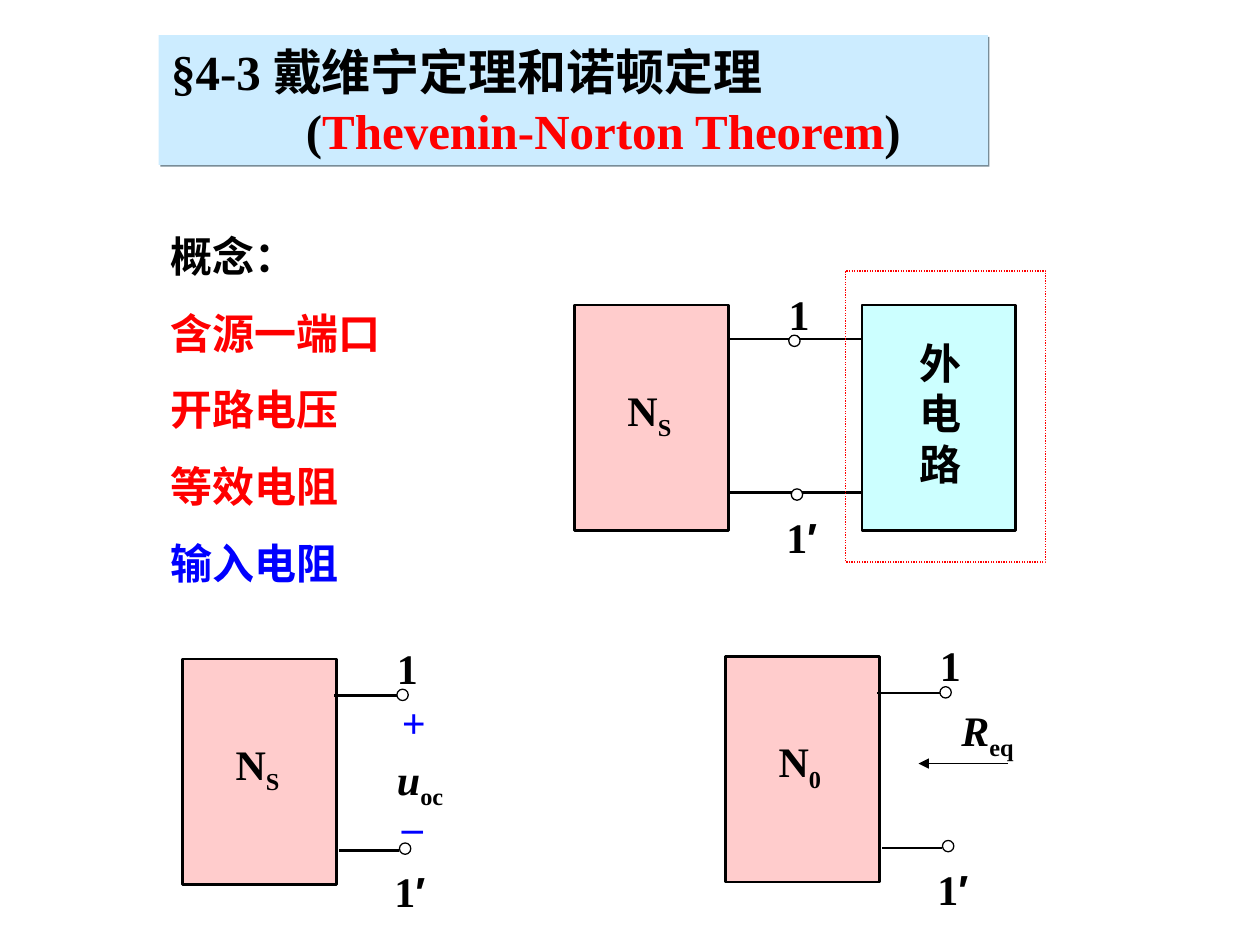
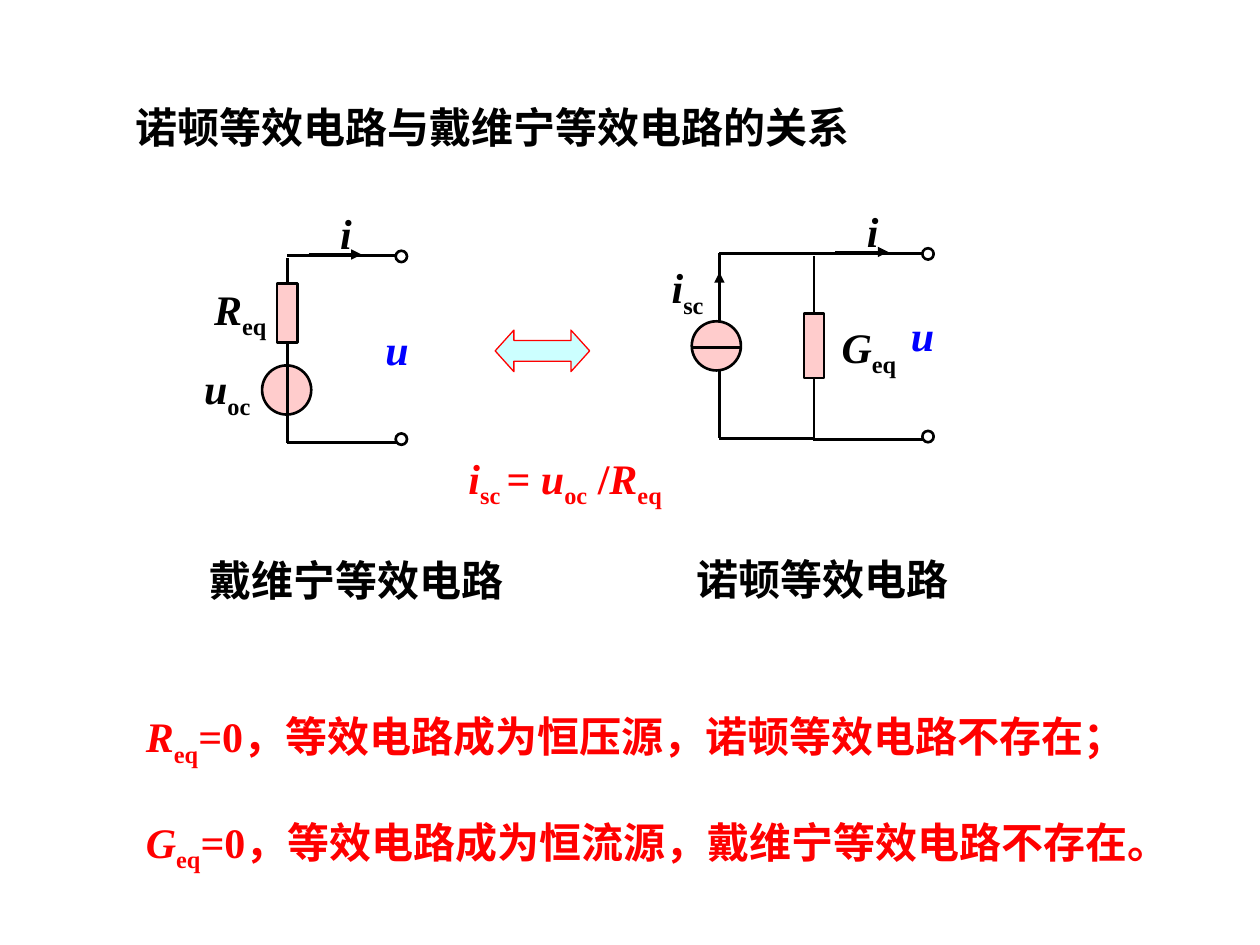
import pptx
import pptx.util
import pptx.dml.color
import pptx.enum.dml
import pptx.enum.shapes
import pptx.enum.text
import pptx.oxml
import pptx.oxml.ns
from pptx.util import Inches

COLORS = {
    "ink": "000000",
    "red": "FF0000",
    "blue": "0000FF",
    "white": "FFFFFF",
    "pink": "FFCCCC",
    "aqua": "CCFFFF",
    "sky": "CCECFF",
    "shadow": "798D98",
}
FONT = "Times New Roman"
BODY_SIZE = 24
TITLE_SIZE = 28
TERMINAL = 0.09
SOURCE = 0.39
PRESETS = pptx.enum.shapes.MSO_SHAPE

# Run styles: "i" italic, "s" subscript, "a" Arial
ONE = [("1", "")]
ONE_PRIME = [("1", ""), ("′", "a")]
REQ = [("R", "i"), ("eq", "s")]
GEQ = [("G", "i"), ("eq", "s")]
UOC = [("u", "i"), ("oc", "s")]
ISC = [("i", "i"), ("sc", "s")]


def rgb(name):
    return pptx.dml.color.RGBColor.from_string(COLORS[name])


def sub_element(parent, tag, **attributes):
    element = parent.makeelement(pptx.oxml.ns.qn(tag), attributes)
    parent.append(element)
    return element


def write_runs(paragraph, runs, color="ink", size=BODY_SIZE):
    """Add (text, style) runs; a third item overrides the colour."""
    for text, style, *own_color in runs:
        run = paragraph.add_run()
        run.text = text
        font = run.font
        font.name = "Arial" if "a" in style else FONT
        font.size = pptx.util.Pt(size)
        font.bold = True
        font.italic = "i" in style
        font.color.rgb = rgb(own_color[0] if own_color else color)
        if "s" in style:
            run._r.get_or_add_rPr().set("baseline", "-25000")


def set_frame(frame, inset_x=0.09, inset_y=0.05, wrap=True):
    frame.margin_left = frame.margin_right = Inches(inset_x)
    frame.margin_top = frame.margin_bottom = Inches(inset_y)
    frame.word_wrap = wrap
    frame.auto_size = pptx.enum.text.MSO_AUTO_SIZE.SHAPE_TO_FIT_TEXT
    frame.vertical_anchor = pptx.enum.text.MSO_ANCHOR.TOP


def add_label(slide, x, y, width, height, *paragraphs, color="ink",
              before=15, **frame_options):
    """Add a text box; each paragraph is a list of runs."""
    box = slide.shapes.add_textbox(
        Inches(x), Inches(y), Inches(width), Inches(height))
    frame = box.text_frame
    set_frame(frame, **frame_options)
    for index, runs in enumerate(paragraphs):
        paragraph = frame.add_paragraph() if index else frame.paragraphs[0]
        paragraph.space_before = pptx.util.Pt(before)
        write_runs(paragraph, runs, color)


def add_outline(slide, preset, x, y, width, height, fill=None,
                line="ink", weight=1.5):
    shape = slide.shapes.add_shape(
        preset, Inches(x), Inches(y), Inches(width), Inches(height))
    shape.shadow.inherit = False
    if fill:
        shape.fill.solid()
        shape.fill.fore_color.rgb = rgb(fill)
    else:
        shape.fill.background()
    if line:
        shape.line.color.rgb = rgb(line)
        shape.line.width = pptx.util.Pt(weight)
    else:
        shape.line.fill.background()
    return shape


def add_box(slide, x, y, fill):
    add_outline(slide, PRESETS.RECTANGLE, x, y, 1.22, 1.79, fill)


def add_terminal(slide, x, y, weight=0.75):
    add_outline(slide, PRESETS.OVAL, x, y, TERMINAL, TERMINAL, "white",
                weight=weight)


def add_source(slide, x, y):
    add_outline(slide, PRESETS.OVAL, x, y, SOURCE, SOURCE, "pink")


def add_wire(slide, x1, y1, x2, y2, weight=1.5, arrow=False):
    wire = slide.shapes.add_connector(
        pptx.enum.shapes.MSO_CONNECTOR.STRAIGHT,
        Inches(x1), Inches(y1), Inches(x2), Inches(y2))
    wire.line.color.rgb = rgb("ink")
    wire.line.width = pptx.util.Pt(weight)
    if arrow:
        sub_element(wire.line._get_or_add_ln(), "a:tailEnd", type="triangle")
    sub_element(wire._element.spPr, "a:effectLst")


def add_title_band(slide):
    band = add_outline(slide, PRESETS.RECTANGLE, 1.26, 0.28, 6.58, 1.03,
                       "sky", line=None)
    effects = band._element.spPr.find(pptx.oxml.ns.qn("a:effectLst"))
    shadow = sub_element(effects, "a:outerShdw", dist="17780", dir="2700000",
                         algn="ctr", rotWithShape="0")
    sub_element(shadow, "a:srgbClr", val=COLORS["shadow"])
    frame = band.text_frame
    set_frame(frame, inset_x=0.1)
    chinese, english = frame.paragraphs[0], frame.add_paragraph()
    write_runs(chinese, [("§4-3 戴维宁定理和诺顿定理", "")], size=TITLE_SIZE)
    write_runs(english, [("(", ""), ("Thevenin-Norton Theorem", "", "red"),
                         (")", "")], size=TITLE_SIZE)
    for paragraph in (chinese, english):
        paragraph.alignment = pptx.enum.text.PP_ALIGN.LEFT
    english._p.get_or_add_pPr().set("marL", str(Inches(1.07)))


def add_one_port(slide, x, y, subscript, wires):
    """Draw a network box with terminals 1 and 1′.

    Each wire is (start, end, drop), measured from the box's corner.
    """
    add_box(slide, x, y, "pink")
    for start, end, drop in wires:
        add_wire(slide, x + start, y + drop, x + end, y + drop)
    add_terminal(slide, x + 1.7, y + 0.24)
    add_terminal(slide, x + 1.72, y + 1.46)
    add_label(slide, x + 1.61, y - 0.18, 0.43, 0.49, ONE)
    add_label(slide, x + 1.59, y + 1.59, 0.59, 0.49, ONE_PRIME)
    add_label(slide, x + 0.33, y + 0.58, 0.76, 0.55,
              [("N", ""), (subscript, "s")])


def add_output_loop(slide, x, y, element_top, element_height):
    """Draw the branch, its resistive element and the two output wires."""
    add_wire(slide, x + 0.17, y - 0.01, x + 0.59, y - 0.01, arrow=True)
    add_label(slide, x + 0.33, y - 0.43, 0.35, 0.49, [("i", "i")])
    add_wire(slide, x + 0.92, y, x, y)
    add_wire(slide, x, y + 0.02, x, y + 1.49)
    add_wire(slide, x + 0.87, y + 1.48, x, y + 1.48)
    add_outline(slide, PRESETS.RECTANGLE, x - 0.08, element_top,
                0.16, element_height, "pink")
    for drop in (-0.04, 1.41):
        add_terminal(slide, x + 0.86, y + drop, weight=1.5)


def add_voltage(slide, x, y):
    add_label(slide, x, y, 0.38, 0.5, [("u", "i")], color="blue",
              before=0, inset_x=0.1, wrap=False)


def build_concepts(slide):
    add_one_port(slide, 4.56, 2.42, "S",
                 [(1.22, 2.28, 0.27), (1.22, 2.28, 1.49)])
    add_box(slide, 6.84, 2.42, "aqua")
    external = add_outline(slide, PRESETS.RECTANGLE, 6.71, 2.15, 1.59, 2.31,
                           line="red", weight=0.75)
    external.line.dash_style = pptx.enum.dml.MSO_LINE.ROUND_DOT
    add_label(slide, 7.21, 2.63, 0.69, 1.29, [("外电路", "")])

    open_wires = [(1.7, 1.2, 0.29), (1.72, 1.24, 1.52)]
    add_one_port(slide, 1.45, 5.23, "S", open_wires)
    add_label(slide, 3.1, 5.48, 0.39, 0.49, [("+", "")], color="blue")
    add_label(slide, 3.1, 6.3, 0.35, 0.49, [("–", "")], color="blue")
    add_label(slide, 3.06, 5.93, 0.55, 0.55, UOC, wrap=False)

    add_one_port(slide, 5.76, 5.21, "0", open_wires)
    add_wire(slide, 8, 6.06, 7.29, 6.06, weight=0.75, arrow=True)
    add_label(slide, 7.54, 5.54, 0.6, 0.55, REQ, wrap=False)

    add_label(slide, 1.26, 1.78, 2, 2.92,
              [("概念：", "")],
              [("含源一端口", "", "red")],
              [("开路电压", "", "red")],
              [("等效电阻", "", "red")],
              [("输入电阻", "", "blue")])
    add_title_band(slide)


def build_thevenin(slide):
    add_source(slide, 2.08, 2.9)
    add_output_loop(slide, 2.28, 2.03, 2.25, 0.47)
    add_label(slide, 1.61, 2.2, 0.67, 0.55, REQ)
    add_label(slide, 1.53, 2.83, 0.64, 0.55, UOC)
    add_voltage(slide, 2.96, 2.52)


def build_norton(slide):
    left, right, top, bottom = 5.71, 6.46, 2.01, 3.48
    add_output_loop(slide, right, top, 2.49, 0.51)
    for y in (top, bottom):
        add_wire(slide, right, y, left, y)
    add_wire(slide, left, top, left, bottom)
    add_source(slide, 5.49, 2.55)
    add_wire(slide, 5.5, 2.76, 5.89, 2.76)
    add_wire(slide, left, 2.3, left, 2.16, weight=0.75, arrow=True)
    add_label(slide, 6.59, 2.5, 0.7, 0.55, GEQ)
    add_label(slide, 5.24, 2.03, 0.55, 0.55, ISC)
    add_voltage(slide, 7.13, 2.41)


def build_relation(slide):
    add_label(slide, 0.98, 0.76, 6.41, 0.5,
              [("诺顿等效电路与戴维宁等效电路的关系", "")],
              before=0, inset_x=0.1)
    build_thevenin(slide)
    equivalence = add_outline(slide, PRESETS.LEFT_RIGHT_ARROW,
                              3.93, 2.62, 0.75, 0.33, "aqua", "red", 0.75)
    equivalence.adjustments[0] = 0.5
    equivalence.adjustments[1] = 0.45
    build_norton(slide)

    for x, y, width, caption in ((1.39, 4.26, 3.05, "戴维宁等效电路"),
                                 (5.26, 4.25, 2.67, "诺顿等效电路")):
        add_label(slide, x, y, width, 0.67, [(caption, "")],
                  inset_x=0.27, inset_y=0.14)
    add_label(slide, 3.62, 3.54, 1.77, 0.56,
              [("i", "i"), ("sc ", "s"), ("= ", ""), *UOC, (" /", ""), *REQ],
              color="red", before=0, inset_x=0.1, wrap=False)
    for y, symbol, consequence in (
            (5.59, REQ, "=0，等效电路成为恒压源，诺顿等效电路不存在；"),
            (6.43, GEQ, "=0，等效电路成为恒流源，戴维宁等效电路不存在。")):
        add_label(slide, 1.06, y, 8.66, 0.56, [*symbol, (consequence, "")],
                  color="red", inset_x=0.1)


def main():
    deck = pptx.Presentation()
    deck.slide_width = Inches(10)
    deck.slide_height = Inches(7.5)
    blank = deck.slide_layouts[6]
    for build in (build_concepts, build_relation):
        build(deck.slides.add_slide(blank))
    deck.save("out.pptx")


if __name__ == "__main__":
    main()
